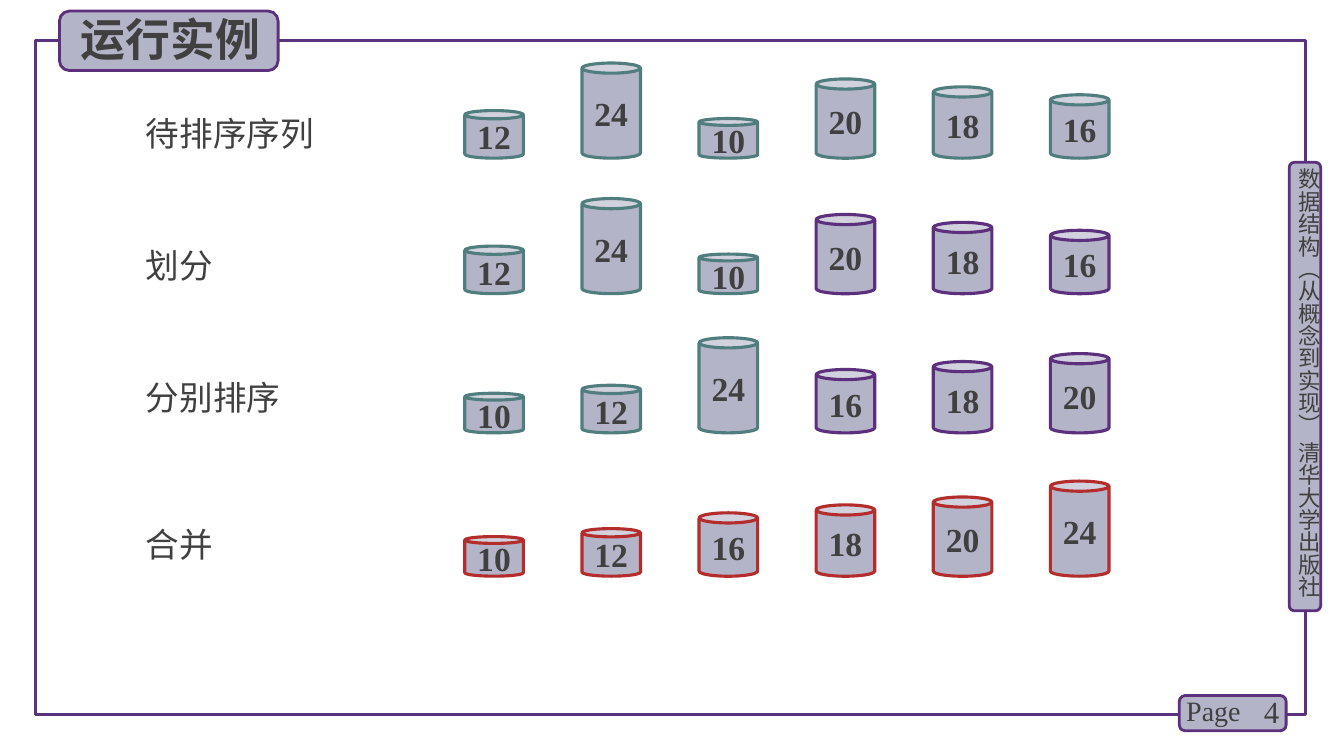
from lxml.etree import SubElement
from pptx import Presentation
from pptx.dml.color import RGBColor
from pptx.enum.shapes import MSO_SHAPE
from pptx.enum.text import MSO_ANCHOR, PP_ALIGN
from pptx.oxml.ns import qn
from pptx.util import Pt

COLOURS = {
    "text": "404040",
    "fill": "B4B4C8",
    "frame": "5A327D",
    "purple": "5C307D",
    "teal": "507D7D",
    "red": "B42D2D",
}
CJK = "Noto Sans CJK SC"
LATIN = "Times New Roman"

CAN_LEFT, CAN_STEP, CAN_WIDTH = 332, 83.66, 41.8
HEIGHT_PER_UNIT = 2.83

STAGES = [
    ("待排序序列", 77, 113, [12, 24, 10, 20, 18, 16], ["teal"] * 6),
    ("划分", 171.4, 209.8, [12, 24, 10, 20, 18, 16], ["teal"] * 3 + ["purple"] * 3),
    ("分别排序", 265.7, 309.2, [10, 12, 24, 16, 18, 20], ["teal"] * 3 + ["purple"] * 3),
    ("合并", 370.8, 411.6, [10, 12, 16, 18, 20, 24], ["red"] * 6),
]


class SortingSlide:
    """Draws styled elements on one title-only slide."""

    def __init__(self, deck):
        self.slide = deck.slides.add_slide(deck.slide_layouts[5])

    def set_text(self, frame, text, size, font, bold=False, align=PP_ALIGN.LEFT,
                 anchor=MSO_ANCHOR.TOP, wrap=True):
        frame.word_wrap = wrap
        frame.vertical_anchor = anchor
        frame.text = text
        paragraph = frame.paragraphs[0]
        paragraph.alignment = align
        paragraph.font.size = Pt(size)
        paragraph.font.bold = bold
        paragraph.font.name = font
        paragraph.font.color.rgb = RGBColor.from_string(COLOURS["text"])
        defaults = paragraph._p.find(f".//{qn('a:defRPr')}")
        SubElement(defaults, qn("a:ea"), typeface=font)

    def shape(self, kind, box, line, width, fill="fill"):
        shape = self.slide.shapes.add_shape(kind, *map(Pt, box))
        shape.shadow.inherit = False
        if fill:
            shape.fill.solid()
            shape.fill.fore_color.rgb = RGBColor.from_string(COLOURS[fill])
        else:
            shape.fill.background()
        shape.line.color.rgb = RGBColor.from_string(COLOURS[line])
        shape.line.width = Pt(width)
        return shape

    def frame(self, box):
        self.shape(MSO_SHAPE.RECTANGLE, box, "frame", 2.25, fill=None)

    def badge(self, box):
        self.shape(MSO_SHAPE.ROUNDED_RECTANGLE, box, "purple", 2)

    def title(self, text, box):
        title = self.slide.shapes.title
        title.left, title.top, title.width, title.height = map(Pt, box)
        self.set_text(title.text_frame, text, 32, CJK, bold=True)
        title.element.getparent().append(title.element)

    def label(self, text, box, size, font=CJK, **style):
        label = self.slide.shapes.add_textbox(*map(Pt, box))
        self.set_text(label.text_frame, text, size, font, **style)
        return label.text_frame

    def vertical_label(self, text, box, size):
        frame = self.label(text, box, size)
        frame.margin_left = frame.margin_right = 0
        frame.margin_top = frame.margin_bottom = 0
        frame._txBody.bodyPr.set("vert", "eaVert")

    def can(self, value, column, bottom, line):
        height = value * HEIGHT_PER_UNIT
        box = (CAN_LEFT + column * CAN_STEP, bottom - height, CAN_WIDTH, height)
        can = self.shape(MSO_SHAPE.CAN, box, line, 2.25)
        can.adjustments[0] = 0.173
        self.set_text(can.text_frame, str(value), 24, LATIN, bold=True,
                      align=PP_ALIGN.CENTER, anchor=MSO_ANCHOR.MIDDLE, wrap=False)


def main():
    deck = Presentation()
    deck.slide_width, deck.slide_height = Pt(960), Pt(540)
    slide = SortingSlide(deck)

    slide.frame((25.2, 28.8, 907.2, 481.7))
    slide.badge((920.9, 115.9, 22.5, 320.4))
    slide.vertical_label("数据结构（从概念到实现） 清华大学出版社",
                         (925.2, 120.2, 19.4, 323.3), 16)
    slide.badge((842.4, 496.8, 76.3, 25.2))
    slide.label("4", (878.4, 493.9, 42.5, 28.8), 22, LATIN,
                align=PP_ALIGN.RIGHT, anchor=MSO_ANCHOR.MIDDLE)
    slide.label("Page", (840.2, 491.8, 56.2, 31.7), 20, LATIN)
    slide.badge((42.5, 7.9, 156.2, 42.5))
    slide.title("运行实例", (50.4, 5, 151.2, 46))

    for stage, top, bottom, values, lines in STAGES:
        slide.label(stage, (97.2, top, 146.2, 36), 24)
        for column, (value, line) in enumerate(zip(values, lines)):
            slide.can(value, column, bottom, line)

    deck.save("out.pptx")


if __name__ == "__main__":
    main()
